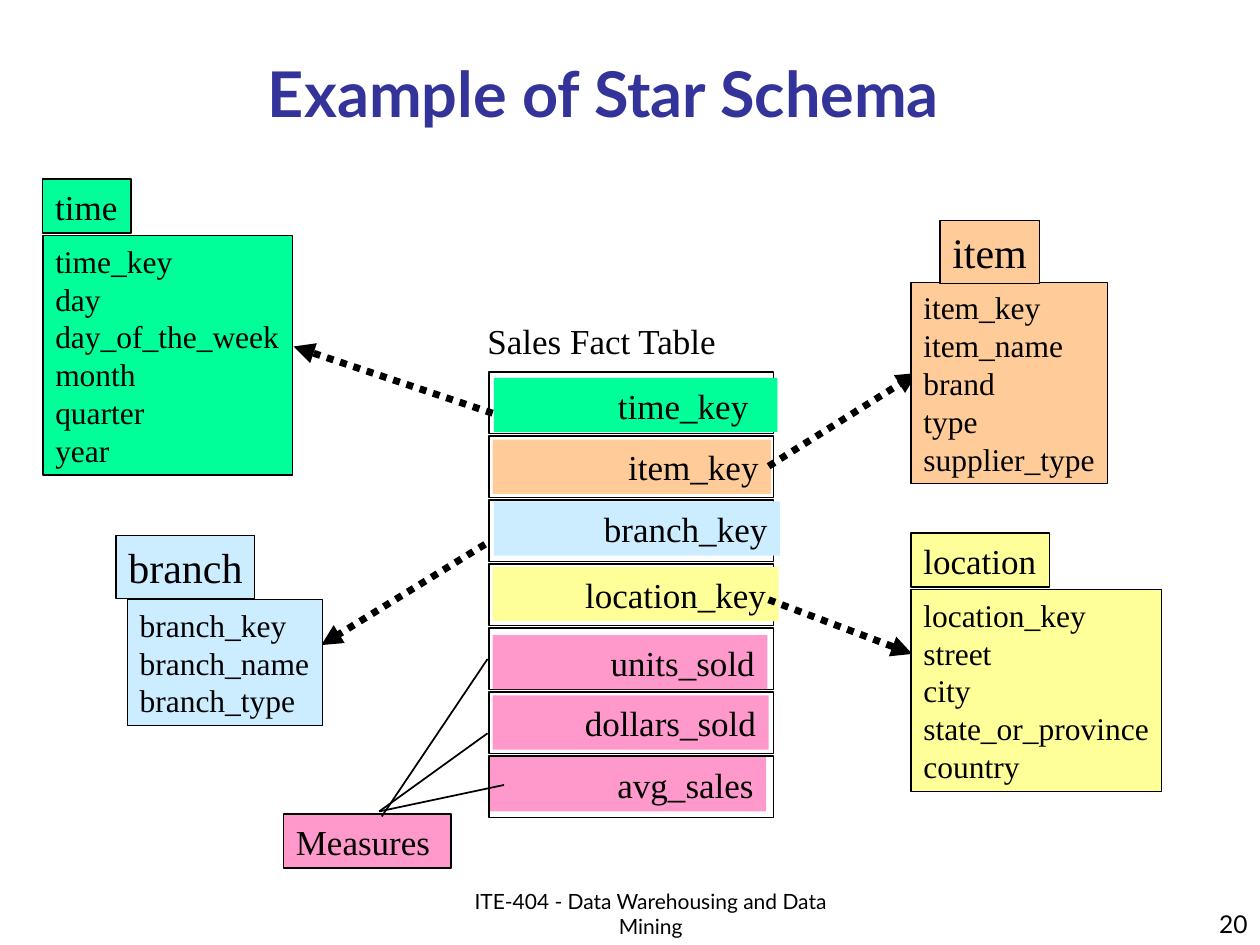
"""Build a slide showing a star schema: a sales fact table and four dimensions."""
from dataclasses import dataclass

from lxml import etree
from pptx import Presentation
from pptx.dml.color import RGBColor
from pptx.enum import dml, shapes, text
from pptx.oxml import ns
from pptx.util import Inches, Pt


@dataclass(frozen=True)
class Theme:
    """Colours, fonts and type sizes."""
    ink: str = "000000"
    title: str = "333399"
    time: str = "00FF99"
    item: str = "FFCC99"
    branch: str = "CCECFF"
    location: str = "FFFF99"
    measure: str = "FF99CC"
    sans: str = "Lato"
    serif: str = "Times New Roman"
    title_size: int = 36
    heading_size: int = 24
    label_size: int = 20
    field_size: int = 18
    number_size: int = 14
    footer_size: int = 12


THEME = Theme()
LEFT, CENTER, RIGHT = text.PP_ALIGN.LEFT, text.PP_ALIGN.CENTER, text.PP_ALIGN.RIGHT
TOP, BOTTOM = text.MSO_ANCHOR.TOP, text.MSO_ANCHOR.BOTTOM

TITLE = "Example of Star Schema"
FOOTER = "ITE-404 - Data Warehousing and Data Mining"
SLIDE_NUMBER = "20"
FACT_TITLE = "Sales Fact Table"

FACT_LEFT, FACT_TOP, FACT_WIDTH, ROW_HEIGHT, ROW_PITCH = 3.88, 2.95, 2.26, 0.49, 0.508
LABEL_HEIGHT = 0.43
FACT_ROWS = [
    ("time_key", THEME.time, (3.92, 3.0, 2.25), 0.23),
    ("item_key", THEME.item, (3.91, 3.49, 2.21), 0.1),
    ("branch_key", THEME.branch, (3.92, 3.98, 2.27), 0.1),
    ("location_key", THEME.location, (3.91, 4.5, 2.27), 0.1),
    ("units_sold", THEME.measure, (3.91, 5.04, 2.18), 0.1),
    ("dollars_sold", THEME.measure, (3.91, 5.52, 2.19), 0.1),
    ("avg_sales", THEME.measure, (3.89, 6.01, 2.19), 0.1),
]

DIMENSIONS = [
    ("time", THEME.time, THEME.label_size, (0.34, 1.42, 0.7, 0.43), (0.34, 1.87, 1.98, 1.9),
     ["time_key", "day", "day_of_the_week", "month", "quarter", "year"]),
    ("location", THEME.location, THEME.label_size, (7.23, 4.23, 1.1, 0.43), (7.23, 4.68, 1.99, 1.6),
     ["location_key", "street", "city", "state_or_province", "country"]),
    ("item", THEME.item, THEME.heading_size, (7.46, 1.75, 0.79, 0.5), (7.23, 2.24, 1.56, 1.6),
     ["item_key", "item_name", "brand", "type", "supplier_type"]),
    ("branch", THEME.branch, THEME.heading_size, (0.92, 4.25, 1.1, 0.5), (1.01, 4.76, 1.55, 1.0),
     ["branch_key", "branch_name", "branch_type"]),
]

MEASURES = ("Measures", (2.25, 6.46, 1.33, LABEL_HEIGHT))
MEASURE_LINES = [
    ((3.03, 6.48), (3.87, 5.23)),
    ((3.01, 6.44), (3.87, 5.82)),
    ((3.01, 6.44), (4.0, 6.23)),
]
KEY_ARROWS = [
    ((3.85, 4.32), (2.55, 5.12)),
    ((3.91, 3.28), (2.33, 2.75)),
    ((6.1, 4.76), (7.24, 5.19)),
    ((6.1, 3.7), (7.28, 2.96)),
]


def place(shape, box):
    """Move and size a shape in inches."""
    shape.left, shape.top, shape.width, shape.height = map(Inches, box)


def write(shape, lines, size, font=THEME.serif, color=THEME.ink, align=LEFT,
          anchor=TOP, wrap=True, bold=False, right_inset=0.1):
    """Write one paragraph per line into a shape."""
    frame = shape.text_frame
    frame.word_wrap = wrap
    frame.auto_size = text.MSO_AUTO_SIZE.NONE
    frame.vertical_anchor = anchor
    frame.margin_left, frame.margin_right = Inches(0.1), Inches(right_inset)
    frame.margin_top = frame.margin_bottom = Inches(0.05)
    for index, line in enumerate(lines):
        paragraph = frame.add_paragraph() if index else frame.paragraphs[0]
        paragraph.alignment = align
        run = paragraph.add_run()
        run.text = line
        run.font.name, run.font.size, run.font.bold = font, Pt(size), bold
        run.font.color.rgb = RGBColor.from_string(color)


def add_text(slide, box, line, size, **style):
    """Add a text box holding one line."""
    write(slide.shapes.add_textbox(*map(Inches, box)), [line], size, **style)


def add_box(slide, box, fill=None, line_width=None):
    """Add a rectangle with an optional fill and outline."""
    shape = slide.shapes.add_shape(shapes.MSO_SHAPE.RECTANGLE, *map(Inches, box))
    shape.shadow.inherit = False
    if fill:
        shape.fill.solid()
        shape.fill.fore_color.rgb = RGBColor.from_string(fill)
    else:
        shape.fill.background()
    if line_width:
        shape.line.color.rgb = RGBColor.from_string(THEME.ink)
        shape.line.width = Pt(line_width)
    else:
        shape.line.fill.background()
    return shape


def add_line(slide, start, end, width, arrow=False):
    """Add a plain line or a dotted arrow."""
    connector = slide.shapes.add_connector(
        shapes.MSO_CONNECTOR.STRAIGHT, *map(Inches, start + end))
    connector.line.color.rgb = RGBColor.from_string(THEME.ink)
    connector.line.width = Pt(width)
    if arrow:
        connector.line.dash_style = dml.MSO_LINE.ROUND_DOT
        outline = connector.line._get_or_add_ln()
        etree.SubElement(outline, ns.qn("a:tailEnd"), type="triangle")
    etree.SubElement(connector._element.spPr, ns.qn("a:effectLst"))


def add_fact_table(slide):
    """Add the framed rows of the fact table."""
    add_text(slide, (3.77, 2.49, 2.04, LABEL_HEIGHT), FACT_TITLE, THEME.label_size, wrap=False)
    for index, (label, color, position, inset) in enumerate(FACT_ROWS):
        top = FACT_TOP + index * ROW_PITCH
        add_box(slide, (FACT_LEFT, top, FACT_WIDTH, ROW_HEIGHT), line_width=1)
        row = add_box(slide, (*position, LABEL_HEIGHT), color)
        write(row, [label], THEME.label_size, align=RIGHT, right_inset=inset)


def add_dimension(slide, name, color, size, name_box, field_box, fields):
    """Add a dimension's field list and its name tab."""
    write(add_box(slide, field_box, color, 0.75), fields, THEME.field_size, wrap=False)
    write(add_box(slide, name_box, color, 0.75), [name], size, wrap=False)


def main():
    """Build and save the presentation."""
    presentation = Presentation()
    presentation.slide_width, presentation.slide_height = Inches(10), Inches(7.5)
    slide = presentation.slides.add_slide(presentation.slide_layouts[5])

    title = slide.shapes.title
    place(title, (0.54, 0.54, 8.5, 0.54))
    write(title, [TITLE], THEME.title_size, font=THEME.sans, color=THEME.title,
          align=CENTER, anchor=BOTTOM, bold=True)
    add_text(slide, (3.58, 7.08, 3.17, 0.42), FOOTER, THEME.footer_size,
             font=THEME.sans, align=CENTER, anchor=BOTTOM)
    add_text(slide, (7.92, 7, 2.08, 0.5), SLIDE_NUMBER, THEME.number_size,
             font=THEME.sans, align=RIGHT, anchor=BOTTOM)

    add_fact_table(slide)
    label, box = MEASURES
    write(add_box(slide, box, THEME.measure, 0.75), [label], THEME.label_size)
    for start, end in MEASURE_LINES:
        add_line(slide, start, end, 1)
    for start, end in KEY_ARROWS:
        add_line(slide, start, end, 4, arrow=True)
    for dimension in DIMENSIONS:
        add_dimension(slide, *dimension)
    presentation.save("out.pptx")


if __name__ == "__main__":
    main()
